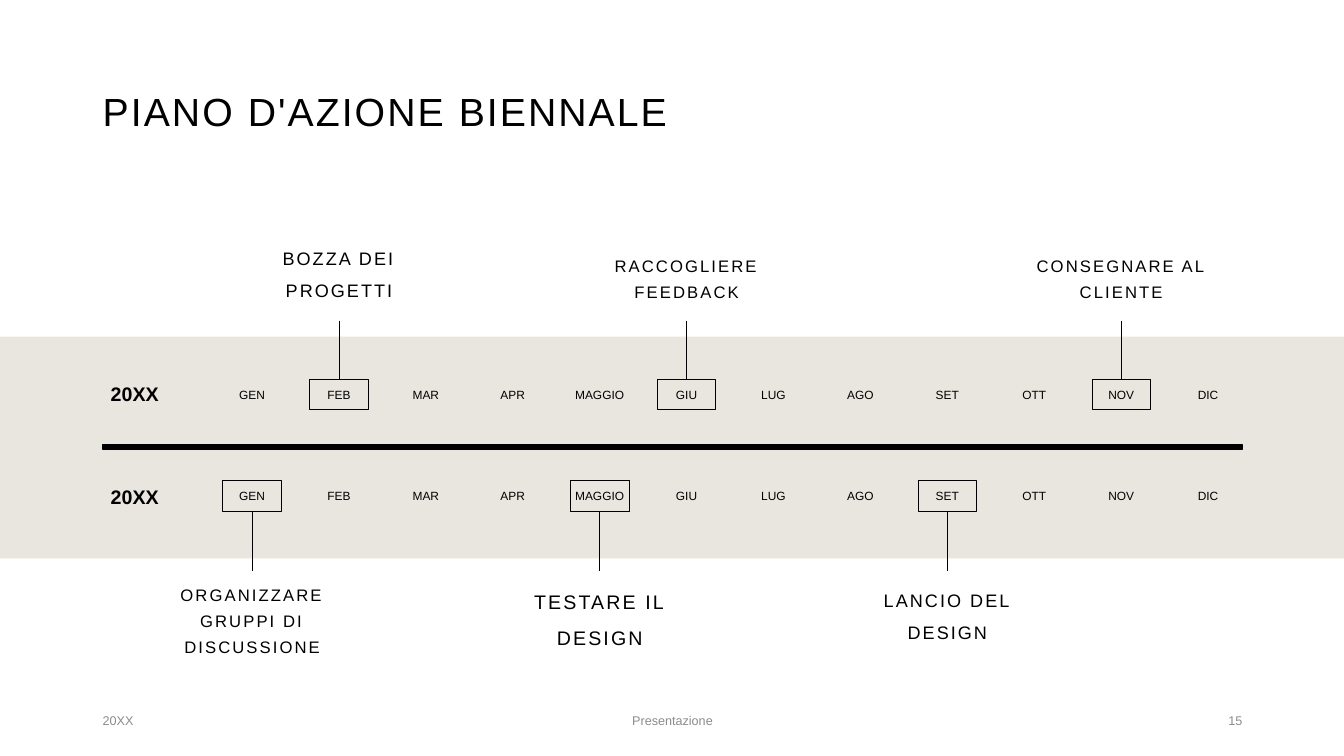
from lxml import etree
from pptx import Presentation
from pptx.dml.color import RGBColor
from pptx.enum.shapes import MSO_CONNECTOR, MSO_SHAPE
from pptx.enum.text import MSO_ANCHOR, PP_ALIGN
from pptx.oxml.ns import qn
from pptx.util import Inches, Pt

RECT = MSO_SHAPE.RECTANGLE
LINE = MSO_CONNECTOR.STRAIGHT
TOP, MID, LOW = MSO_ANCHOR.TOP, MSO_ANCHOR.MIDDLE, MSO_ANCHOR.BOTTOM
LEFT, MIDST, RIGHT = PP_ALIGN.LEFT, PP_ALIGN.CENTER, PP_ALIGN.RIGHT

HUES = {"ink": "000000", "band": "E9E6DF", "gray": "8C8C8C"}
MONTHS = ["GEN", "FEB", "MAR", "APR", "MAGGIO", "GIU",
          "LUG", "AGO", "SET", "OTT", "NOV", "DIC"]
FIRST, STEP = 2.5, 0.862
MONTH_W, BOX_W, BOX_H, NOTE_W = 0.7, 0.58, 0.3, 2.25

YEARS = [
    {"text": "20XX", "year": 3.67, "month": 3.83, "box": 3.76,
     "stem": (3.18, 3.76), "note": 2.43, "anchor": LOW,
     "tasks": [(1, "BOZZA DEI PROGETTI", 12.9, 1.5),
               (5, "RACCOGLIERE FEEDBACK", 11.9, 1.3),
               (10, "CONSEGNARE AL CLIENTE", 11.9, 1.3)]},
    {"text": "20XX", "year": 4.69, "month": 4.84, "box": 4.77,
     "stem": (5.07, 5.66), "note": 5.69, "anchor": TOP,
     "tasks": [(0, "ORGANIZZARE GRUPPI DI DISCUSSIONE", 11.9, 1.3),
               (4, "TESTARE IL DESIGN", 14, 1.5),
               (8, "LANCIO DEL DESIGN", 12.9, 1.5)]},
]
FOOT = [(0.92, 3, "20XX", LEFT), (4.42, 4.5, "Presentazione", MIDST),
        (9.42, 3, "15", RIGHT)]


class Board:
    def __init__(self, slide, font):
        self.slide = slide
        self.font = font

    def color(self, hue):
        return RGBColor.from_string(HUES[hue])

    def rect(self, x, y, w, h, fill=None, line=None, width=0.5):
        shape = self.slide.shapes.add_shape(
            RECT, Inches(x), Inches(y), Inches(w), Inches(h))
        shape.shadow.inherit = False
        if fill:
            shape.fill.solid()
            shape.fill.fore_color.rgb = self.color(fill)
        else:
            shape.fill.background()
        if line:
            shape.line.color.rgb = self.color(line)
            shape.line.width = Pt(width)
        else:
            shape.line.fill.background()

    def stem(self, x, top, end):
        line = self.slide.shapes.add_connector(
            LINE, Inches(x), Inches(top), Inches(x), Inches(end))
        line.line.color.rgb = self.color("ink")
        line.line.width = Pt(0.5)
        etree.SubElement(line._element.spPr, qn("a:effectLst"))

    def text(self, x, y, w, h, words, size, hue="ink", bold=False,
             align=LEFT, anchor=MID, gap=1.0, before=0, track=0, side=0.1):
        box = self.slide.shapes.add_textbox(
            Inches(x), Inches(y), Inches(w), Inches(h))
        frame = box.text_frame
        para = frame.paragraphs[0]
        run = para.add_run()
        run.text = words
        run.font.color.rgb = self.color(hue)
        styles = [
            (frame, {"word_wrap": True, "vertical_anchor": anchor,
                     "margin_left": Inches(side),
                     "margin_right": Inches(side)}),
            (para, {"alignment": align, "line_spacing": gap,
                    "space_before": Pt(before)}),
            (run.font, {"name": self.font, "size": Pt(size), "bold": bold}),
        ]
        for item, style in styles:
            for key, value in style.items():
                setattr(item, key, value)
        if track:
            run._r.get_or_add_rPr().set("spc", str(int(track * 100)))

    def year(self, row):
        self.text(1, row["year"], 0.8, 0.5, row["text"], 14,
                  bold=True, gap=0.9, before=10)
        for i, month in enumerate(MONTHS):
            self.text(FIRST + i * STEP - MONTH_W / 2, row["month"],
                      MONTH_W, 0.22, month, 8.5, align=MIDST, anchor=TOP,
                      gap=0.7, before=10, side=0)
        for i, words, size, gap in row["tasks"]:
            mid = FIRST + i * STEP
            self.text(mid - NOTE_W / 2, row["note"], NOTE_W, 0.61, words,
                      size, align=MIDST, anchor=row["anchor"], gap=gap,
                      before=10, track=1.5)
            self.stem(mid, *row["stem"])
            self.rect(mid - BOX_W / 2, row["box"], BOX_W, BOX_H, line="ink")


def main():
    deck = Presentation()
    deck.slide_width = Inches(13.33)
    deck.slide_height = Inches(7.5)
    board = Board(deck.slides.add_slide(deck.slide_layouts[6]), "Arial")
    board.rect(0, 3.34, 13.33, 2.2, fill="band")
    board.rect(1.02, 4.41, 11.3, 0.05, fill="ink", line="ink", width=1)
    board.text(0.92, 0.4, 11.5, 1.45, "PIANO D'AZIONE BIENNALE", 28,
               gap=0.9, track=1.5)
    for row in YEARS:
        board.year(row)
    for x, w, words, align in FOOT:
        board.text(x, 6.95, w, 0.4, words, 9, hue="gray", align=align)
    deck.save("out.pptx")


if __name__ == "__main__":
    main()
